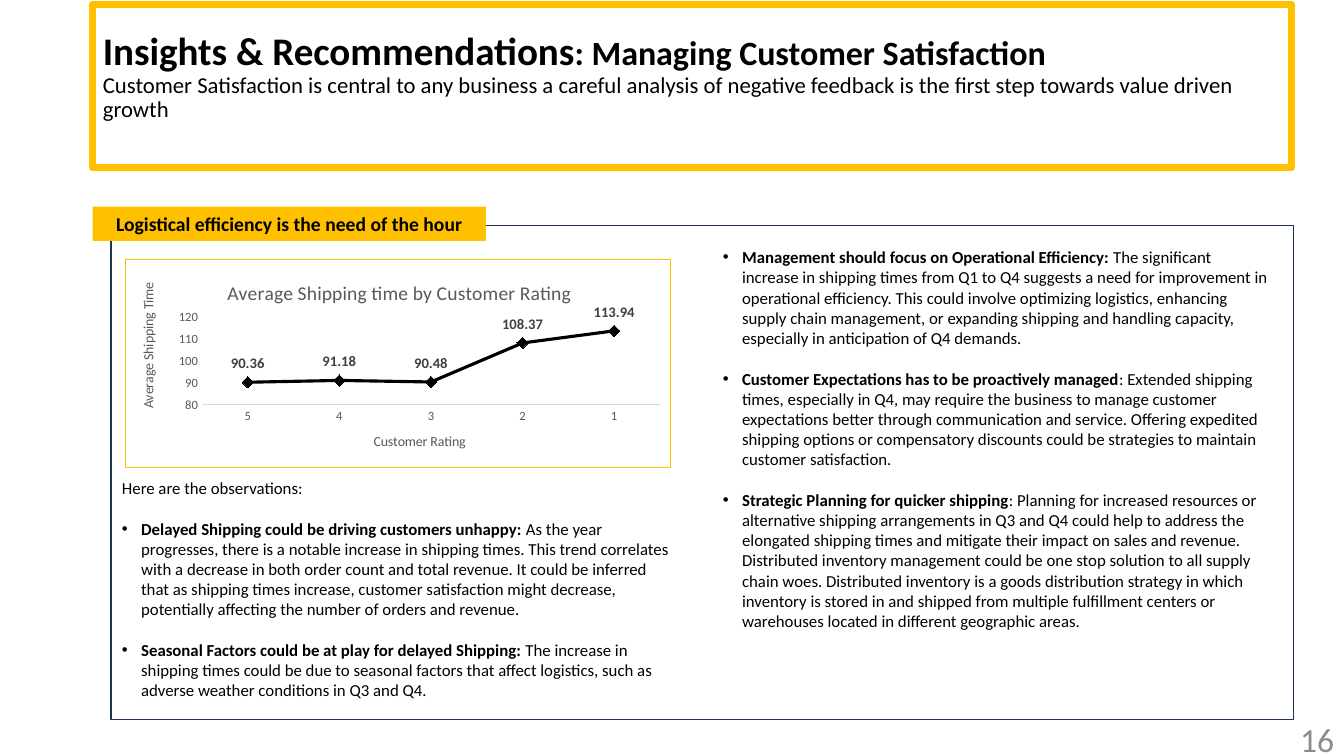
from dataclasses import dataclass

from lxml import etree
from pptx import Presentation
from pptx.chart.data import CategoryChartData
from pptx.dml.color import RGBColor
from pptx.enum import chart as charts, shapes, text
from pptx.oxml import parse_xml
from pptx.oxml.ns import nsdecls, qn
from pptx.util import Inches, Pt


@dataclass(frozen=True)
class Theme:
    font: str = "Calibri"
    ink: str = "000000"
    accent: str = "FFC000"
    frame: str = "1E3256"
    muted: str = "8C8C8C"
    chart_text: str = "595959"
    chart_label: str = "404040"
    chart_line: str = "D9D9D9"
    heading: float = 27.9
    subheading: float = 24.3
    summary: float = 16.2
    banner: float = 14
    body: float = 12
    page_number: float = 24
    chart_title: float = 14
    axis_title: float = 10
    axis: float = 9
    data_label: float = 10.5
    paragraph_gap: float = 14.65
    bullet_indent: float = 0.19


class SlideBuilder:
    def __init__(self, page, theme):
        self.page = page
        self.theme = theme

    def style(self, font, size, color, bold=False):
        font.name = self.theme.font
        font.size = Pt(size)
        font.bold = bold
        font.color.rgb = RGBColor.from_string(color)

    def place(self, shape, area):
        shape.left, shape.top, shape.width, shape.height = map(Inches, area)

    def outline(self, line, color, width):
        line.color.rgb = RGBColor.from_string(color)
        line.width = Pt(width)

    def add_spans(self, para, spans):
        for words, size, color, bold in spans:
            span = para.add_run()
            span.text = words
            self.style(span.font, size, color, bold)

    def title(self, area, lines):
        box = self.page.shapes.title
        self.place(box, area)
        self.outline(box.line, self.theme.accent, 5)
        frame = box.text_frame
        frame.auto_size = text.MSO_AUTO_SIZE.NONE
        frame.vertical_anchor = text.MSO_ANCHOR.TOP
        frame.margin_top = Inches(0.27)
        for number, spans in enumerate(lines):
            para = frame.add_paragraph() if number else frame.paragraphs[0]
            para.alignment = text.PP_ALIGN.LEFT
            para.line_spacing = 0.9
            self.add_spans(para, spans)

    def body(self, index, area, items):
        """Each item is (bold lead, plain text); an empty lead means no bullet."""
        theme = self.theme
        box = self.page.placeholders[index]
        self.place(box, area)
        frame = box.text_frame
        frame.auto_size = text.MSO_AUTO_SIZE.NONE
        for number, (lead, rest) in enumerate(items):
            para = frame.add_paragraph() if number else frame.paragraphs[0]
            para.space_before = Pt(0)
            para.space_after = Pt(theme.paragraph_gap)
            indent = Inches(theme.bullet_indent) if lead else 0
            properties = para._p.get_or_add_pPr()
            properties.set("marL", str(indent))
            properties.set("indent", str(-indent))
            if lead:
                self.add_spans(para, [(lead, theme.body, theme.ink, True)])
            else:
                etree.SubElement(properties, qn("a:buNone"))
            self.add_spans(para, [(rest, theme.body, theme.ink, False)])

    def rectangle(self, kind, area, fill=None, line=None):
        box = self.page.shapes.add_shape(kind, *map(Inches, area))
        box.shadow.inherit = False
        if fill:
            box.fill.solid()
            box.fill.fore_color.rgb = RGBColor.from_string(fill)
        else:
            box.fill.background()
        if line:
            self.outline(box.line, line, 1)
        else:
            box.line.fill.background()
        return box

    def banner(self, area, words):
        box = self.rectangle(shapes.MSO_SHAPE.RECTANGLE, area, fill=self.theme.accent)
        para = box.text_frame.paragraphs[0]
        para.alignment = text.PP_ALIGN.CENTER
        self.add_spans(para, [(words, self.theme.banner, self.theme.ink, True)])

    def page_number(self, area, words):
        frame = self.page.shapes.add_textbox(*map(Inches, area)).text_frame
        frame.word_wrap = True
        frame.vertical_anchor = text.MSO_ANCHOR.MIDDLE
        para = frame.paragraphs[0]
        para.alignment = text.PP_ALIGN.RIGHT
        self.add_spans(para, [(words, self.theme.page_number, self.theme.muted, False)])

    def chart_layout(self, parent, inner=False, **fractions):
        layout = parent.find(qn("c:layout"))
        if layout is None:
            layout = etree.Element(qn("c:layout"))
            parent.insert(0, layout)
        manual = etree.SubElement(layout, qn("c:manualLayout"))
        settings = {"layoutTarget": "inner"} if inner else {}
        settings.update(xMode="edge", yMode="edge", **fractions)
        for name, value in settings.items():
            etree.SubElement(manual, qn(f"c:{name}")).set("val", str(value))

    def chart_heading(self, heading, words, size, left, top):
        heading.text_frame.text = words
        span = heading.text_frame.paragraphs[0].runs[0]
        self.style(span.font, size, self.theme.chart_text)
        self.chart_layout(heading._element, x=left, y=top)

    def line_chart(self, area, heading, category_heading, value_heading, points):
        theme = self.theme
        data = CategoryChartData(number_format="#,##0.00")
        data.categories = list(points)
        data.add_series("Series 1", list(points.values()))
        chart = self.page.shapes.add_chart(
            charts.XL_CHART_TYPE.LINE_MARKERS, *map(Inches, area), data).chart
        self.style(chart.font, theme.axis_title, theme.ink)
        chart.has_legend = False
        self.chart_heading(chart.chart_title, heading, theme.chart_title, 0.18, 0.08)

        # Axes
        categories, values = chart.category_axis, chart.value_axis
        for axis in (categories, values):
            axis.has_major_gridlines = False
            axis.major_tick_mark = charts.XL_TICK_MARK.NONE
            self.style(axis.tick_labels.font, theme.axis, theme.chart_text)
        self.outline(categories.format.line, theme.chart_line, 0.75)
        values.format.line.fill.background()
        values.minimum_scale, values.maximum_scale, values.major_unit = 80, 120, 10
        values.tick_labels.number_format = "0"
        values.tick_labels.number_format_is_linked = False
        self.chart_heading(categories.axis_title, category_heading, theme.axis_title, 0.45, 0.82)
        self.chart_heading(values.axis_title, value_heading, theme.axis_title, 0.02, 0.1)

        # Series and labels
        plot = chart.plots[0]
        plot.vary_by_categories = False
        series = plot.series[0]
        series.smooth = False
        self.outline(series.format.line, theme.ink, 2.25)
        series.marker.style = charts.XL_MARKER_STYLE.DIAMOND
        series.marker.size = 8
        series.marker.format.fill.solid()
        series.marker.format.fill.fore_color.rgb = RGBColor.from_string(theme.ink)
        self.outline(series.marker.format.line, theme.ink, 0.75)
        labels = series.data_labels
        labels.show_value = True
        labels.position = charts.XL_LABEL_POSITION.ABOVE
        labels.number_format = "#,##0.00"
        labels.number_format_is_linked = False
        self.style(labels.font, theme.data_label, theme.chart_label, True)

        # Plot position and chart border
        root = chart._chartSpace
        self.chart_layout(root.find(".//" + qn("c:plotArea")), True, x=0.14, y=0.28, w=0.84, h=0.42)
        root.find(qn("c:chart")).addnext(parse_xml(
            f'<c:spPr {nsdecls("c", "a")}><a:noFill/><a:ln w="{Pt(0.75)}"><a:solidFill>'
            f'<a:srgbClr val="{theme.accent}"/></a:solidFill></a:ln></c:spPr>'))


def main():
    deck = Presentation()
    deck.slide_width, deck.slide_height = Inches(13.33), Inches(7.5)
    theme = Theme()
    builder = SlideBuilder(deck.slides.add_slide(deck.slide_layouts[3]), theme)

    # Title and frame
    builder.title((0.92, 0.04, 11.89, 1.62), [
        [("Insights & Recommendations", theme.heading, theme.ink, True),
         (": Managing Customer Satisfaction", theme.subheading, theme.ink, True)],
        [("Customer Satisfaction is central to any business a careful analysis of negative feedback is the first step towards value driven growth", theme.summary, theme.ink, False)],
    ])
    builder.rectangle(shapes.MSO_SHAPE.FLOWCHART_PROCESS, (1.1, 2.24, 11.73, 4.9), line=theme.frame)
    builder.banner((0.92, 2.05, 3.9, 0.34), "Logistical efficiency is the need of the hour")
    builder.page_number((10.33, 7.13, 3, 0.4), "16")

    # Shipping chart
    builder.line_chart(
        (1.24, 2.57, 5.42, 2.07), "Average Shipping time by Customer Rating",
        "Customer Rating", "Average Shipping Time",
        {"5": 90.36, "4": 91.18, "3": 90.48, "2": 108.37, "1": 113.94})

    # Observations and recommendations
    builder.body(1, (1.11, 4.69, 5.69, 2.32), [
        ("", "Here are the observations:"),
        ("Delayed Shipping could be driving customers unhappy: ", "As the year progresses, there is a notable increase in shipping times. This trend correlates with a decrease in both order count and total revenue. It could be inferred that as shipping times increase, customer satisfaction might decrease, potentially affecting the number of orders and revenue."),
        ("Seasonal Factors could be at play for delayed Shipping: ", "The increase in shipping times could be due to seasonal factors that affect logistics, such as adverse weather conditions in Q3 and Q4."),
    ])
    builder.body(2, (7.07, 2.4, 5.62, 4.34), [
        ("Management should focus on Operational Efficiency: ", "The significant increase in shipping times from Q1 to Q4 suggests a need for improvement in operational efficiency. This could involve optimizing logistics, enhancing supply chain management, or expanding shipping and handling capacity, especially in anticipation of Q4 demands."),
        ("Customer Expectations has to be proactively managed", ": Extended shipping times, especially in Q4, may require the business to manage customer expectations better through communication and service. Offering expedited shipping options or compensatory discounts could be strategies to maintain customer satisfaction."),
        ("Strategic Planning for quicker shipping", ": Planning for increased resources or alternative shipping arrangements in Q3 and Q4 could help to address the elongated shipping times and mitigate their impact on sales and revenue. Distributed inventory management could be one stop solution to all supply chain woes. Distributed inventory is a goods distribution strategy in which inventory is stored in and shipped from multiple fulfillment centers or warehouses located in different geographic areas."),
    ])

    deck.save("out.pptx")


if __name__ == "__main__":
    main()
